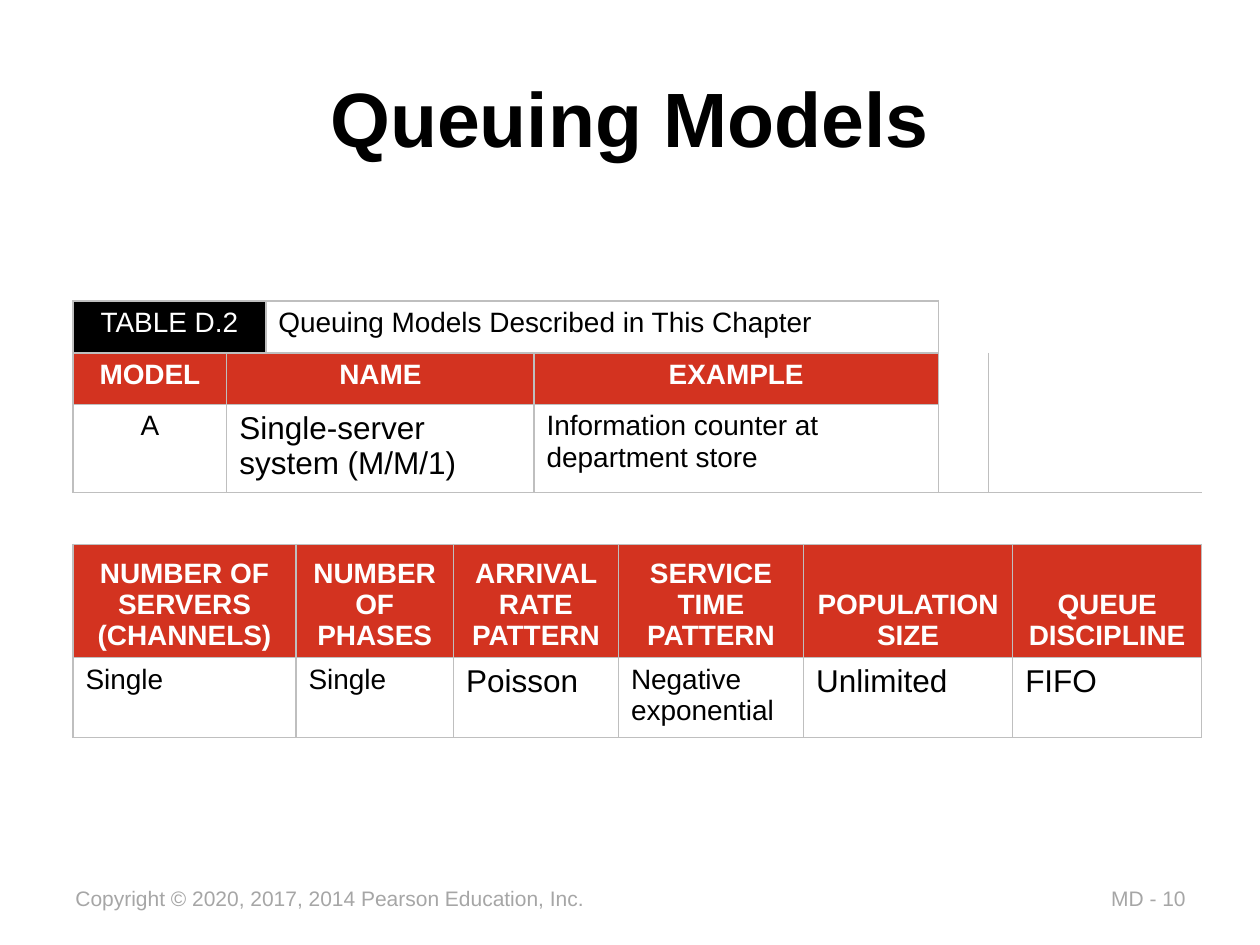
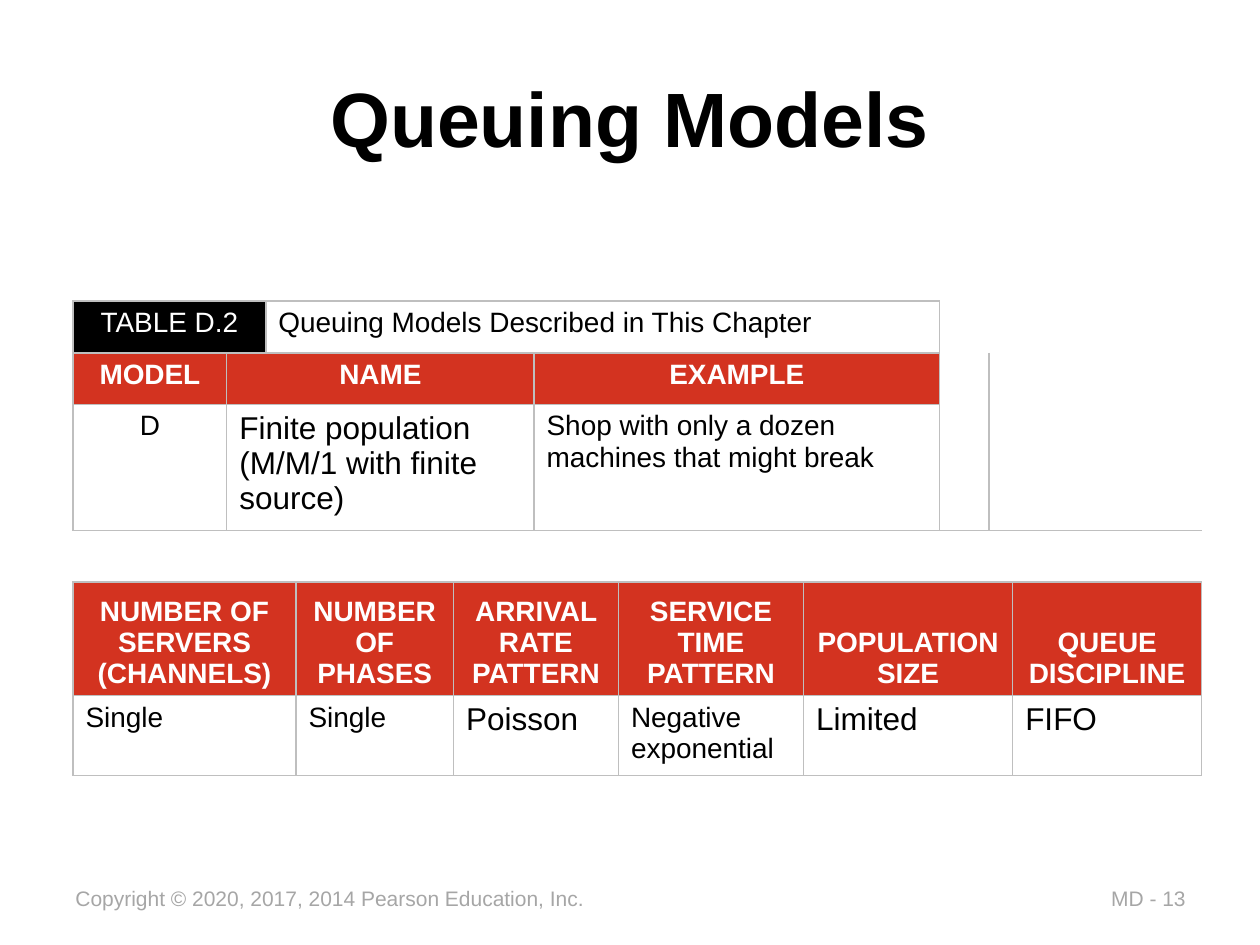
from pptx import Presentation
from pptx.dml.color import RGBColor
from pptx.enum.text import MSO_ANCHOR, PP_ALIGN
from pptx.oxml import parse_xml
from pptx.oxml.ns import nsdecls, qn
from pptx.util import Inches, Pt

FONT = "Arial"
BLACK, WHITE, RED = "000000", "FFFFFF", "D33320"
RULE, MUTED = "BFBFBF", "A6A6A6"
PLAIN_STYLE = "{2D5ABB26-0587-4C30-8999-92F81FD0307C}"
COPYRIGHT = "Copyright © 2020, 2017, 2014 Pearson Education, Inc."

# Looks of a table cell: fill, text colour, size, bold, centred, anchor, ruled sides
TOP, BOTTOM = MSO_ANCHOR.TOP, MSO_ANCHOR.BOTTOM
LOOKS = {
    "label": (BLACK, WHITE, 16, False, True, TOP, "LRTB"),
    "head": (RED, WHITE, 16, True, True, TOP, "LRTB"),
    "low head": (RED, WHITE, 16, True, True, BOTTOM, "LRTB"),
    "mid": (None, BLACK, 16, False, True, TOP, "LRTB"),
    "body": (None, BLACK, 16, False, False, TOP, "LRTB"),
    "large": (None, BLACK, 18, False, False, TOP, "LRTB"),
    "edge": (None, BLACK, 18, False, False, TOP, "L"),
    "blank": (None, BLACK, 18, False, False, TOP, ""),
    "gap": (None, BLACK, 18, False, False, TOP, "TB"),
}


def rgb(code):
    return RGBColor.from_string(code)


def write(frame, text, size, color, bold=False, align=PP_ALIGN.LEFT):
    para = frame.paragraphs[0]
    para.alignment = align
    run = para.add_run()
    run.text = text
    font = run.font
    font.name, font.size, font.bold = FONT, Pt(size), bold
    font.color.rgb = rgb(color)


def add_title(slide, text):
    title = slide.shapes.title
    title.left, title.top = Inches(0.5), Inches(0.3)
    title.width, title.height = Inches(9), Inches(1.25)
    title.text_frame.vertical_anchor = MSO_ANCHOR.MIDDLE
    write(title.text_frame, text, 44, BLACK, True, PP_ALIGN.CENTER)


def add_note(slide, text, left, width):
    """Add one footer line."""
    box = slide.shapes.add_textbox(Inches(left), Inches(6.98), Inches(width), Inches(0.3))
    box.text_frame.word_wrap = False
    write(box.text_frame, text, 12, MUTED)


def rule_cell(cell, sides):
    """Draw thin lines on the given sides, in L, R, T, B order."""
    props = cell._tc.get_or_add_tcPr()
    for side in sides:
        props.append(parse_xml(
            f'<a:ln{side} {nsdecls("a")} w="{Pt(1)}"><a:solidFill>'
            f'<a:srgbClr val="{RULE}"/></a:solidFill></a:ln{side}>'))


def fill_row(table, row, items):
    """Lay out (text, span, look) items from left to right."""
    col = 0
    for text, span, look in items:
        fill, color, size, bold, centred, anchor, sides = LOOKS[look]
        cell = table.cell(row, col)
        last = table.cell(row, col + span - 1)
        for step in range(span):
            rule_cell(table.cell(row, col + step), sides if step == 0 else sides.replace("L", ""))
        if span > 1:
            cell.merge(last)
        if fill:
            cell.fill.solid()
            cell.fill.fore_color.rgb = rgb(fill)
        else:
            cell.fill.background()
        cell.vertical_anchor = anchor
        if text:
            align = PP_ALIGN.CENTER if centred else PP_ALIGN.LEFT
            write(cell.text_frame, text, size, color, bold, align)
        col += span


def add_grid(slide, cols, heights, rows):
    frame = slide.shapes.add_table(
        len(rows), len(cols), Inches(0.58), Inches(2.39),
        Inches(sum(cols)), Inches(sum(heights)))
    for style in frame.element.iter(qn("a:tableStyleId")):
        style.text = PLAIN_STYLE
    table = frame.table
    table.first_row = table.horz_banding = False
    for col, width in zip(table.columns, cols):
        col.width = Inches(width)
    for row, height in zip(table.rows, heights):
        row.height = Inches(height)
    for index, items in enumerate(rows):
        fill_row(table, index, items)


def add_model(deck, page, model, name, example, people, example_end, tall):
    """Add the slide for one queuing model."""
    slide = deck.slides.add_slide(deck.slide_layouts[5])
    add_note(slide, f"MD - {page}", 8.72, 0.82)
    add_note(slide, COPYRIGHT, 0.5, 4.28)
    add_title(slide, "Queuing Models")
    cols = [1.22, 0.31, 0.13, 1.25, 0.64, 0.67, 1.47,
            example_end, 1.47 - example_end, 0.19, 0.24, 1.26]
    right = [("", 1, "edge"), ("", 2, "blank"), ("", 1, "blank")]
    rows = [
        [("TABLE D.2", 2, "label"),
         ("Queuing Models Described in This Chapter", 6, "body"), ("", 4, "edge")],
        [("MODEL", 1, "head"), ("NAME", 4, "head"), ("EXAMPLE", 3, "head")] + right,
        [(model, 1, "mid"), (name, 4, "large"), (example, 3, "body")] + right,
        [("", 12, "gap")],
        [(text, span, "low head") for text, span in (
            ("NUMBER OF SERVERS (CHANNELS)", 3), ("NUMBER OF PHASES", 1),
            ("ARRIVAL RATE PATTERN", 2), ("SERVICE TIME PATTERN", 1),
            ("POPULATION SIZE", 3), ("QUEUE DISCIPLINE", 2))],
        [("Single", 3, "body"), ("Single", 1, "body"), ("Poisson", 2, "large"),
         ("Negative exponential", 1, "body"), (people, 3, "large"), ("FIFO", 2, "large")],
    ]
    add_grid(slide, cols, [0.41, 0.41, tall, 0.41, 0.9, 0.59], rows)


def main():
    deck = Presentation()
    deck.slide_width, deck.slide_height = Inches(10), Inches(7.5)
    add_model(deck, 10, "A", "Single-server system (M/M/1)",
              "Information counter at department store", "Unlimited", 1.07, 0.7)
    add_model(deck, 13, "D", "Finite population (M/M/1 with finite source)",
              "Shop with only a dozen machines that might break", "Limited", 1.08, 0.94)
    deck.save("out.pptx")


if __name__ == "__main__":
    main()
